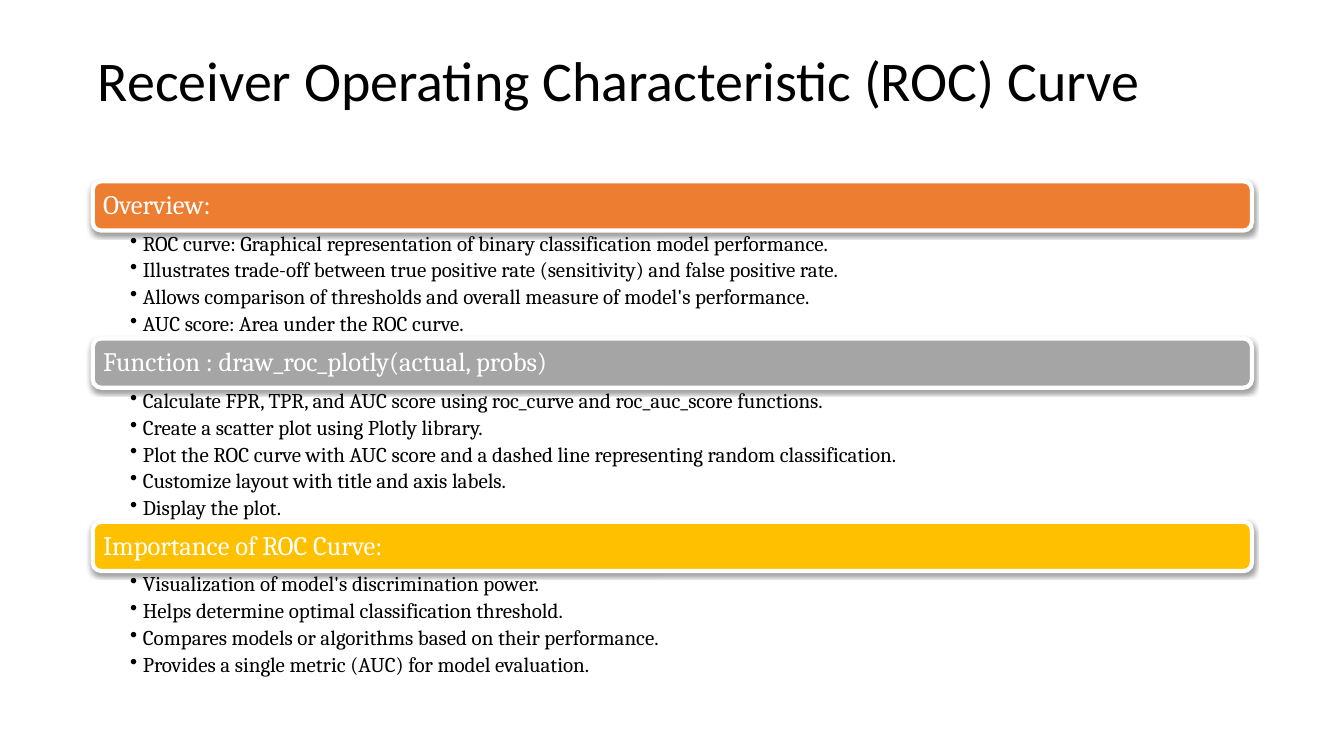
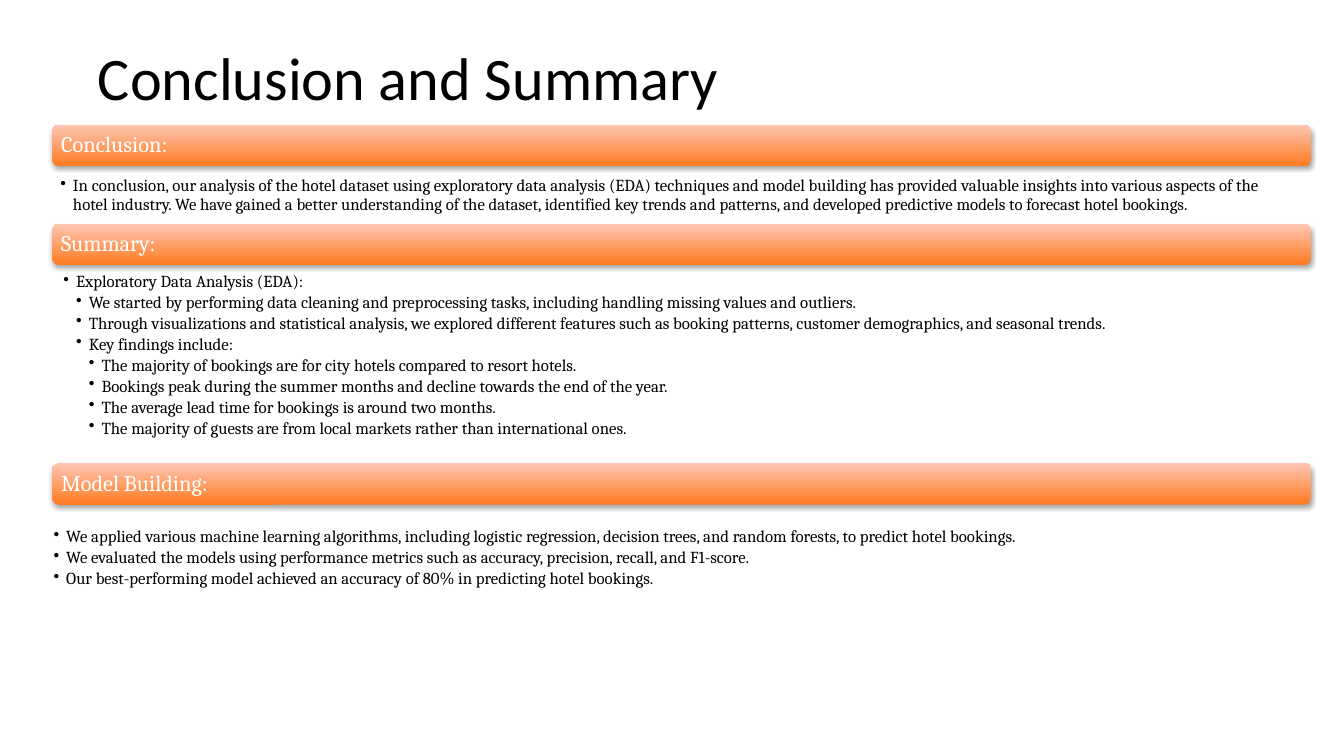
from lxml import etree
from pptx import Presentation
from pptx import util as u
from pptx.dml.color import RGBColor
from pptx.enum import shapes, text
from pptx.oxml import ns

BLACK = RGBColor(0x00, 0x00, 0x00)
WHITE = RGBColor(0xFF, 0xFF, 0xFF)
ORANGE = RGBColor(0xED, 0x7D, 0x31)
GRAY = RGBColor(0xA5, 0xA5, 0xA5)
GOLD = RGBColor(0xFF, 0xC0, 0x00)
DEEP = RGBColor(0xFF, 0x7A, 0x1F)
PALE = RGBColor(0xFF, 0xC6, 0xB4)

HEAD, BODY = "Calibri", "Cambria"
STEP = 0.32  # indent of one bullet level, cm
ROW = 0.66  # height of one list line on the ROC slide, cm

# Each section: heading, bar colour, bullets
ROC = [
    ("Overview:", ORANGE, [
        "ROC curve: Graphical representation of binary classification model performance.",
        "Illustrates trade-off between true positive rate (sensitivity) and false positive rate.",
        "Allows comparison of thresholds and overall measure of model's performance.",
        "AUC score: Area under the ROC curve.",
    ]),
    ("Function : draw_roc_plotly(actual, probs)", GRAY, [
        "Calculate FPR, TPR, and AUC score using roc_curve and roc_auc_score functions.",
        "Create a scatter plot using Plotly library.",
        "Plot the ROC curve with AUC score and a dashed line representing random classification.",
        "Customize layout with title and axis labels.",
        "Display the plot.",
    ]),
    ("Importance of ROC Curve:", GOLD, [
        "Visualization of model's discrimination power.",
        "Helps determine optimal classification threshold.",
        "Compares models or algorithms based on their performance.",
        "Provides a single metric (AUC) for model evaluation.",
    ]),
]

# Each section: heading, bar top, list left, list top, list height, (level, bullet) pairs
CLOSE = [
    ("Conclusion:", 3.15, 1.47, 4.42, 1.04, [
        (1, "In conclusion, our analysis of the hotel dataset using exploratory data analysis (EDA) "
            "techniques and model building has provided valuable insights into various aspects of "
            "the hotel industry. We have gained a better understanding of the dataset, identified "
            "key trends and patterns, and developed predictive models to forecast hotel bookings."),
    ]),
    ("Summary:", 5.64, 1.55, 6.83, 4.42, [
        (1, "Exploratory Data Analysis (EDA):"),
        (2, "We started by performing data cleaning and preprocessing tasks, including handling "
            "missing values and outliers."),
        (2, "Through visualizations and statistical analysis, we explored different features such as "
            "booking patterns, customer demographics, and seasonal trends."),
        (2, "Key findings include:"),
        (3, "The majority of bookings are for city hotels compared to resort hotels."),
        (3, "Bookings peak during the summer months and decline towards the end of the year."),
        (3, "The average lead time for bookings is around two months."),
        (3, "The majority of guests are from local markets rather than international ones."),
    ]),
    ("Model Building:", 11.68, 1.3, 13.26, 1.7, [
        (1, "We applied various machine learning algorithms, including logistic regression, decision "
            "trees, and random forests, to predict hotel bookings."),
        (1, "We evaluated the models using performance metrics such as accuracy, precision, recall, "
            "and F1-score."),
        (1, "Our best-performing model achieved an accuracy of 80% in predicting hotel bookings."),
    ]),
]


def add_bullet(para, level):
    """Give a paragraph a black dot and a hanging indent."""
    para.level = level
    props = para._p.get_or_add_pPr()
    props.set("marL", str(u.Cm(STEP * level)))
    props.set("indent", str(-u.Cm(STEP)))
    tint = etree.SubElement(props, ns.qn("a:buClr"))
    etree.SubElement(tint, ns.qn("a:srgbClr"), val=str(BLACK))
    etree.SubElement(props, ns.qn("a:buChar"), char="•")


def write(shape, items, size, face=BODY, color=BLACK, inset=0.13, gap=0,
          anchor=text.MSO_ANCHOR.TOP):
    """Fill a shape with (level, text) paragraphs; level 0 has no bullet."""
    frame = shape.text_frame
    frame.word_wrap = True
    frame.vertical_anchor = anchor
    frame.margin_left = frame.margin_right = u.Cm(inset)
    frame.margin_top = frame.margin_bottom = u.Cm(inset)
    for i, (level, line) in enumerate(items):
        para = frame.add_paragraph() if i else frame.paragraphs[0]
        if level:
            add_bullet(para, level)
        para.alignment = text.PP_ALIGN.LEFT
        para.line_spacing = 0.9
        para.space_before = u.Pt(gap if i else 0)
        run = para.add_run()
        run.text = line
        run.font.size = u.Pt(size)
        run.font.name = face
        run.font.color.rgb = color


def add_box(slide, left, top, width, height):
    return slide.shapes.add_textbox(u.Cm(left), u.Cm(top), u.Cm(width), u.Cm(height))


def add_title(slide, title, size):
    box = add_box(slide, 2.34, 1.02, 29.21, 1.97)
    write(box, [(0, title)], size, face=HEAD, anchor=text.MSO_ANCHOR.BOTTOM)


def add_shadow(shape, alpha, dist):
    shape.shadow.inherit = False
    effects = shape._element.spPr.find(ns.qn("a:effectLst"))
    outer = etree.SubElement(effects, ns.qn("a:outerShdw"), blurRad=str(u.Pt(3)),
                             dist=str(u.Pt(dist)), dir="5400000", rotWithShape="0")
    tint = etree.SubElement(outer, ns.qn("a:srgbClr"), val=str(BLACK))
    etree.SubElement(tint, ns.qn("a:alpha"), val=str(alpha * 1000))


def add_bar(slide, label, left, top, width, height, size, inset, fill=None):
    """Heading bar: a flat fill with a white rim, or the orange gradient."""
    bar = slide.shapes.add_shape(shapes.MSO_SHAPE.ROUNDED_RECTANGLE, u.Cm(left), u.Cm(top),
                                 u.Cm(width), u.Cm(height))
    if fill:
        bar.fill.solid()
        bar.fill.fore_color.rgb = fill
        bar.line.color.rgb = WHITE
        bar.line.width = u.Pt(3)
        add_shadow(bar, 38, 1.6)
    else:
        bar.fill.gradient()
        bar.fill.gradient_angle = 90
        for stop, color in zip(bar.fill.gradient_stops, (DEEP, PALE)):
            stop.color.rgb = color
        bar.line.fill.background()
        add_shadow(bar, 35, 1.8)
    write(bar, [(0, label)], size, color=WHITE, inset=inset, anchor=text.MSO_ANCHOR.MIDDLE)


def build_roc(slide):
    add_title(slide, "Receiver Operating Characteristic (ROC) Curve", 40)
    top = 4.57
    for label, fill, lines in ROC:
        depth = ROW * len(lines)
        add_bar(slide, label, 2.34, top, 29.21, 1.24, 19, 0.2, fill)
        box = add_box(slide, 3.2, top + 1.22, 28.04, depth)
        write(box, [(1, line) for line in lines], 15, inset=0.08, gap=3)
        top += depth + 2 * ROW


def build_close(slide):
    add_title(slide, "Conclusion and Summary", 43.1)
    for label, top, left, start, depth, items in CLOSE:
        add_bar(slide, label, 1.32, top, 31.72, 1.04, 16, 0.17)
        write(add_box(slide, left, start, 30.5, depth), items, 12, inset=0.05, gap=2)


def main():
    deck = Presentation()
    deck.slide_width, deck.slide_height = u.Cm(33.87), u.Cm(19.05)
    for build in (build_roc, build_close):
        build(deck.slides.add_slide(deck.slide_layouts[6]))
    deck.save("out.pptx")


if __name__ == "__main__":
    main()
